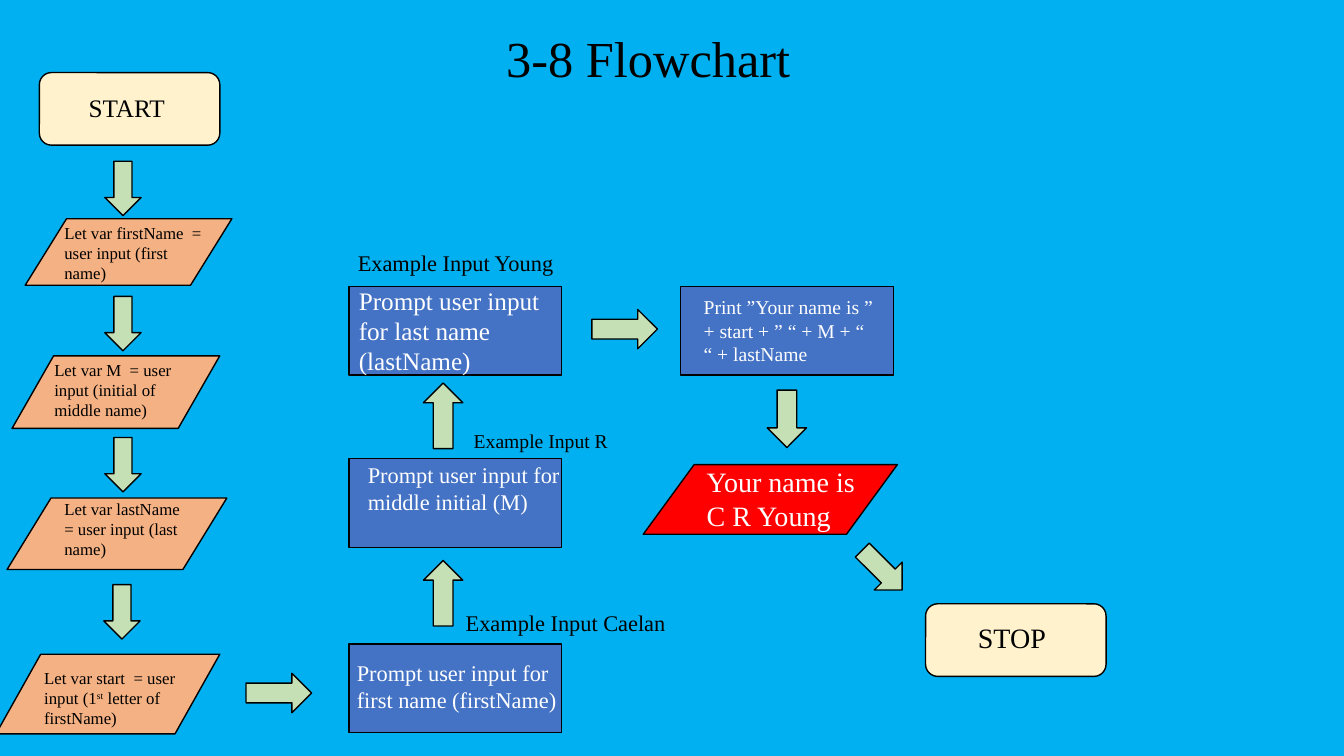
from pptx import Presentation
from pptx.dml.color import RGBColor
from pptx.enum.shapes import MSO_SHAPE as SHAPE
from pptx.enum.text import MSO_ANCHOR as ANCHOR, MSO_AUTO_SIZE as AUTO, PP_ALIGN as ALIGN
from pptx.util import Inches, Pt

FONT = "Times New Roman"
SKY, CREAM, PEACH, GREEN = "00B0F0", "FFF2CC", "F4B183", "C5E0B4"
BLUE, RED, BLACK, WHITE = "4472C4", "FF0000", "000000", "FFFFFF"


def paint(fill, colour):
    fill.solid()
    fill.fore_color.rgb = RGBColor.from_string(colour)


def write(frame, text, size, colour):
    """Fill a text frame; text between carets is superscript."""
    frame.word_wrap = True
    para = frame.paragraphs[0]
    para.alignment = ALIGN.LEFT
    para.font.size = Pt(size)
    para.font.name = FONT
    para.font.color.rgb = RGBColor.from_string(colour)
    for index, part in enumerate(text.split("^")):
        span = para.add_run()
        span.text = part
        if index % 2:
            span._r.get_or_add_rPr().set("baseline", "30000")


def add_block(page, kind, box, colour, rotation=0):
    block = page.shapes.add_shape(kind, *map(Inches, box))
    block.shadow.inherit = False
    paint(block.fill, colour)
    paint(block.line.fill, BLACK)
    block.line.width = Pt(1)
    block.rotation = rotation
    return block


def add_label(page, box, text, size, colour=BLACK):
    label = page.shapes.add_textbox(*map(Inches, box))
    write(label.text_frame, text, size, colour)
    label.text_frame.auto_size = AUTO.SHAPE_TO_FIT_TEXT


def add_arrow(page, left, top, length=0.65, rotation=0):
    add_block(page, SHAPE.RIGHT_ARROW, (left, top, length, 0.39), GREEN, rotation)


def add_terminal(page, left, top, text, size, offset):
    add_block(page, SHAPE.FLOWCHART_ALTERNATE_PROCESS, (left, top, 1.79, 0.72), CREAM)
    add_label(page, (left + offset[0], top + offset[1], 1.53, 0.44), text, size)


def add_title(page, box):
    title = page.shapes.title
    title.left, title.top, title.width, title.height = map(Inches, box)
    write(title.text_frame, "3-8 Flowchart", 36, BLACK)
    title.text_frame.vertical_anchor = ANCHOR.TOP


def add_variables(page, left, top):
    """Start terminal and the four variable declarations below it."""
    add_terminal(page, left + 0.39, top, "START", 18, (0.39, 0.15))
    # Parallelogram box, then text left, top and width
    variables = [
        ((0.25, 1.45, 2.05, 0.66), (0.54, 1.44, 1.61),
         "Let var firstName  = user input (first name)"),
        ((0.12, 2.81, 2.06, 0.72), (0.44, 2.8, 1.66),
         "Let var M  = user input (initial of middle name)"),
        ((0.07, 4.22, 2.18, 0.71), (0.54, 4.18, 1.47),
         "Let var lastName  = user input (last name)"),
        ((-0.04, 5.77, 2.22, 0.79), (0.34, 5.85, 1.74),
         "Let var start  = user input (1^st^ letter of firstName)"),
    ]
    for (x, y, width, height), (text_x, text_y, text_width), text in variables:
        add_block(page, SHAPE.FLOWCHART_DATA, (left + x, top + y, width, height), PEACH)
        add_label(page, (left + text_x, top + text_y, text_width, 0.71), text, 12)
    for x, y in [(1.04, 0.88), (1.04, 2.22), (1.04, 3.62), (1.03, 5.08)]:
        add_block(page, SHAPE.DOWN_ARROW, (left + x, top + y, 0.36, 0.54), GREEN)


def add_prompts(page, left, top):
    """Three prompts, read from bottom to top, with example inputs."""
    last, middle, first = [
        add_block(page, SHAPE.RECTANGLE, (left, top + y, 2.11, 0.88), BLUE)
        for y in (0, 1.71, 3.55)]
    write(last.text_frame, "Prompt user input for last name (lastName)", 18, WHITE)
    last.text_frame.vertical_anchor = ANCHOR.MIDDLE
    add_label(page, (left + 0.09, top + 1.69, 2.1, 0.91),
              "Prompt user input for middle initial (M)", 16, WHITE)
    add_label(page, (left - 0.02, top + 3.65, 2.28, 0.64),
              "Prompt user input for first name (firstName)", 16, WHITE)
    # Example inputs
    for x, y, width, text, size in [
            (-0.01, -0.42, 2.28, "Example Input Young", 16),
            (1.14, 1.37, 2.71, "Example Input R", 14),
            (1.06, 3.15, 2.69, "Example Input Caelan", 16)]:
        add_label(page, (left + x, top + y, width, 0.37), text, size)
    # Arrows: in from the left, up twice, out to the right
    add_arrow(page, left - 1.02, top + 3.84)
    for y in (2.85, 1.09):
        add_arrow(page, left + 0.61, top + y, rotation=270)
    add_arrow(page, left + 2.41, top + 0.23)


def add_result(page, left, top):
    """Print step, printed result and stop terminal."""
    add_block(page, SHAPE.RECTANGLE, (left, top, 2.11, 0.88), BLUE)
    add_label(page, (left + 0.13, top + 0.04, 1.91, 0.81),
              "Print ”Your name is ” + start + ” “ + M + “ “ + lastName", 14, WHITE)
    add_arrow(page, left + 0.77, top + 1.12, 0.57, 90)
    add_block(page, SHAPE.FLOWCHART_DATA, (left - 0.37, top + 1.77, 2.52, 0.69), RED)
    add_label(page, (left + 0.16, top + 1.72, 1.78, 0.77),
              "Your name is C R Young", 20, WHITE)
    add_arrow(page, left + 1.72, top + 2.62, 0.56, 45)
    add_terminal(page, left + 2.43, top + 3.15, "STOP", 20, (0.42, 0.12))


deck = Presentation()
deck.slide_width, deck.slide_height = Inches(13.33), Inches(7.5)
page = deck.slides.add_slide(deck.slide_layouts[5])
paint(page.background.fill, SKY)

add_title(page, (4.92, 0.22, 6.68, 1.38))
add_variables(page, 0, 0.72)
add_prompts(page, 3.46, 2.84)
add_result(page, 6.75, 2.84)

deck.save("out.pptx")
